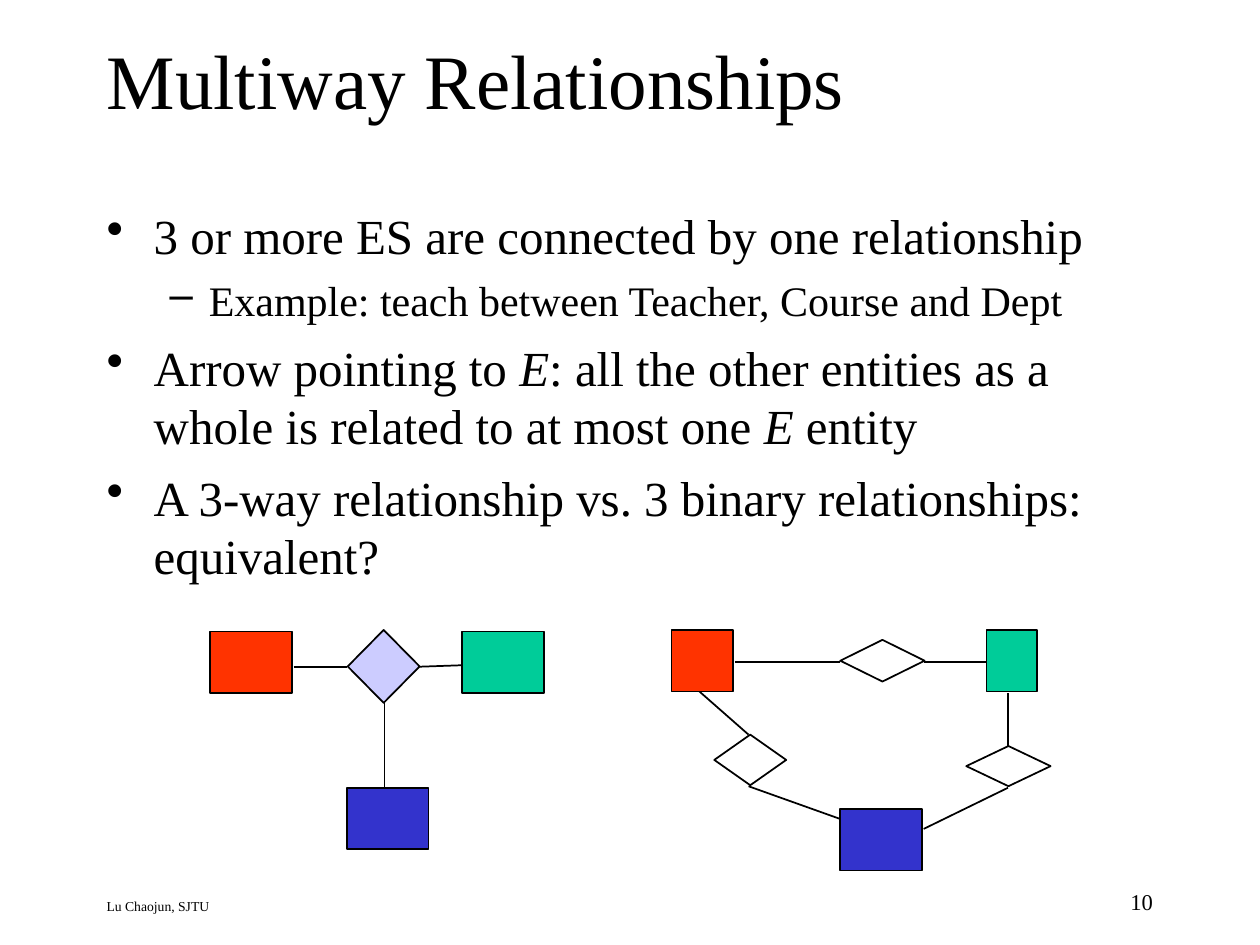
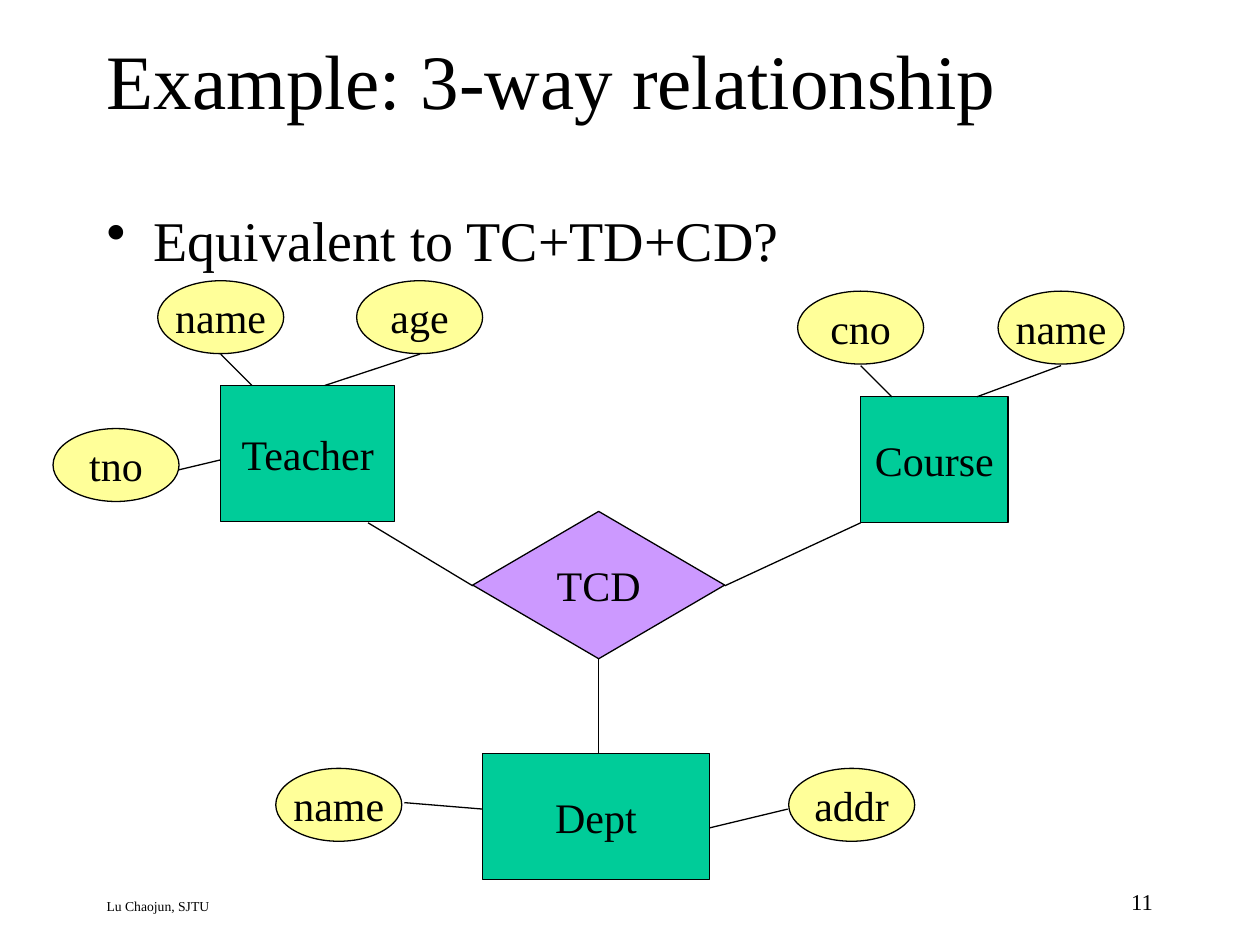
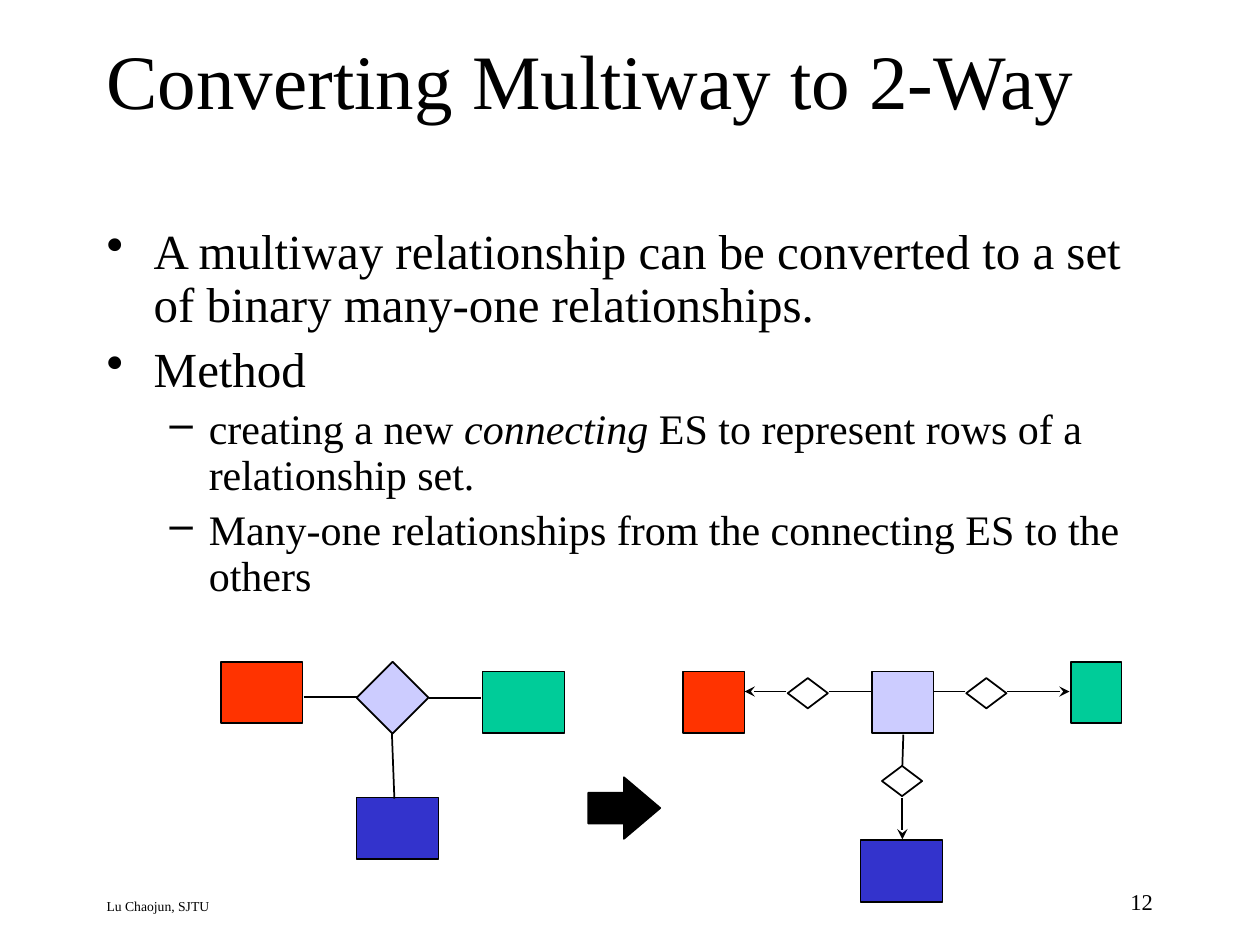
from typing import NamedTuple

from lxml import etree
from pptx import Presentation
from pptx import util as u
from pptx.dml.color import RGBColor
from pptx.enum import shapes, text
from pptx.oxml import ns

FONT = "Times New Roman"
BLACK, WHITE = "000000", "FFFFFF"
RED, BLUE, GREEN = "FF3300", "3333CC", "00CC99"
LAVENDER, PURPLE, YELLOW = "CCCCFF", "CC99FF", "FFFF99"

RECTANGLE = shapes.MSO_SHAPE.RECTANGLE
DIAMOND = shapes.MSO_SHAPE.DIAMOND
OVAL = shapes.MSO_SHAPE.OVAL
RIGHT_ARROW = shapes.MSO_SHAPE.RIGHT_ARROW
LEFT, RIGHT, CENTER = text.PP_ALIGN.LEFT, text.PP_ALIGN.RIGHT, text.PP_ALIGN.CENTER


class Box(NamedTuple):
    """Lengths in centimetres."""
    left: float
    top: float
    width: float
    height: float

    def lengths(self) -> list[u.Length]:
        return [u.Cm(value) for value in self]


class Node(NamedTuple):
    preset: shapes.MSO_SHAPE
    fill: str
    box: Box
    label: str = ""


class Link(NamedTuple):
    """A line between two points in centimetres, with an optional arrow at the end."""
    start: tuple[float, float]
    end: tuple[float, float]
    arrow: bool = False


class Level(NamedTuple):
    bullet: str
    margin: float
    hanging: float


class Bullet(NamedTuple):
    """Words between asterisks are italic."""
    words: str
    size: float = 28
    level: int = 0


class Page(NamedTuple):
    title: str
    number: int
    body: Box
    bullets: list[Bullet]
    nodes: list[Node]
    links: list[Link]
    line_width: float = 1
    line_spacing: float = 1


LEVELS = [Level("•", 0.95, 0.95), Level("–", 2.06, 0.79)]
TITLE_BOX = Box(1.9, 0, 21.59, 3.18)
FOOTER_BOX = Box(1.9, 17.98, 14.73, 0.64)
NUMBER_BOX = Box(18.21, 17.78, 5.28, 0.84)


def wide(fill: str, left: float, top: float) -> Node:
    return Node(RECTANGLE, fill, Box(left, top, 1.65, 1.24))


def square(fill: str, left: float, top: float) -> Node:
    return Node(RECTANGLE, fill, Box(left, top, 1.24, 1.24))


def narrow(fill: str, left: float, top: float) -> Node:
    return Node(RECTANGLE, fill, Box(left, top, 1.02, 1.24))


def diamond(left: float, top: float, width: float = 0.81, height: float = 0.61,
            fill: str = WHITE) -> Node:
    return Node(DIAMOND, fill, Box(left, top, width, height))


def entity(label: str, box: Box) -> Node:
    return Node(RECTANGLE, GREEN, box, label)


def attribute(label: str, left: float, top: float) -> Node:
    return Node(OVAL, YELLOW, Box(left, top, 2.54, 1.47), label)


PAGES = [
    Page(
        "Multiway Relationships", 10, Box(1.9, 4.01, 21.59, 8.26),
        [
            Bullet("3 or more ES are connected by one relationship"),
            Bullet("Example: teach between Teacher, Course and Dept", 24, 1),
            Bullet("Arrow pointing to *E*: all the other entities as a whole "
                   "is related to at most one *E* entity"),
            Bullet("A 3-way relationship vs. 3 binary relationships: equivalent?"),
        ],
        [
            wide(RED, 4.24, 12.73),
            wide(BLUE, 6.99, 15.88),
            wide(GREEN, 9.32, 12.73),
            diamond(7.01, 12.7, 1.45, 1.47, LAVENDER),
            square(RED, 13.54, 12.7),
            wide(BLUE, 16.94, 16.31),
            narrow(GREEN, 19.89, 12.7),
            diamond(14.4, 14.81, 1.45, 1.02),
            diamond(16.94, 12.9, 1.7, 0.84),
            diamond(19.48, 15.04, 1.7, 0.81),
        ],
        [
            Link((5.92, 13.44), (6.99, 13.44)),
            Link((8.46, 13.44), (9.32, 13.41)),
            Link((7.75, 14.17), (7.75, 15.88)),
            Link((14.1, 13.94), (15.09, 14.81)),
            Link((15.09, 15.85), (16.94, 16.51)),
            Link((16.94, 13.34), (14.81, 13.34)),
            Link((18.62, 13.34), (19.89, 13.34)),
            Link((20.32, 13.97), (20.32, 15.04)),
            Link((20.32, 15.88), (18.62, 16.71)),
        ],
    ),
    Page(
        "Example: 3-way relationship", 11, Box(1.9, 4.01, 21.59, 12.9),
        [Bullet("Equivalent to TC+TD+CD?", 32)],
        [
            entity("Teacher", Box(4.45, 7.77, 3.51, 2.74)),
            entity("Course", Box(17.35, 8, 2.97, 2.54)),
            entity("Dept", Box(9.73, 15.19, 4.57, 2.54)),
            attribute("name", 3.18, 5.66),
            attribute("age", 7.19, 5.66),
            attribute("tno", 1.07, 8.64),
            attribute("cno", 16.08, 5.87),
            attribute("name", 20.12, 5.87),
            attribute("name", 5.56, 15.49),
            attribute("addr", 15.9, 15.49),
            Node(DIAMOND, PURPLE, Box(9.53, 10.31, 5.08, 2.97), "TCD"),
        ],
        [
            Link((3.61, 9.47), (4.45, 9.27)),
            Link((4.45, 7.14), (5.08, 7.77)),
            Link((8.46, 7.14), (6.55, 7.77)),
            Link((8.15, 16.18), (9.73, 16.31)),
            Link((15.88, 16.31), (14.3, 16.69)),
            Link((17.35, 7.37), (17.98, 8)),
            Link((21.39, 7.37), (19.69, 8)),
            Link((9.53, 11.81), (7.42, 10.54)),
            Link((12.07, 13.28), (12.07, 15.19)),
            Link((14.61, 11.81), (17.35, 10.54)),
        ],
        line_width=0.75,
    ),
    Page(
        "Converting Multiway to 2-Way", 12, Box(1.9, 4.45, 21.59, 8.46),
        [
            Bullet("A multiway relationship can be converted to a set of binary "
                   "many-one relationships."),
            Bullet("Method"),
            Bullet("creating a new *connecting* ES to represent rows of a "
                   "relationship set.", 24, 1),
            Bullet("Many-one relationships from the connecting ES to the others", 24, 1),
        ],
        [
            wide(RED, 4.45, 13.34),
            wide(BLUE, 7.19, 16.08),
            wide(GREEN, 9.73, 13.54),
            diamond(7.19, 13.34, 1.45, 1.45, LAVENDER),
            square(RED, 13.77, 13.54),
            square(LAVENDER, 17.58, 13.54),
            narrow(GREEN, 21.59, 13.34),
            wide(BLUE, 17.35, 16.94),
            diamond(15.88, 13.67),
            diamond(19.48, 13.67),
            diamond(17.78, 15.44),
            Node(RIGHT_ARROW, BLACK, Box(11.86, 15.67, 1.45, 1.24)),
        ],
        [
            Link((6.12, 14.05), (7.19, 14.05)),
            Link((8.64, 14.07), (9.7, 14.07)),
            Link((7.9, 14.78), (7.95, 16.1)),
            Link((15.85, 13.94), (15.01, 13.94), arrow=True),
            Link((16.71, 13.94), (17.55, 13.94)),
            Link((19.46, 13.94), (18.82, 13.94)),
            Link((20.29, 13.94), (21.56, 13.94), arrow=True),
            Link((18.21, 14.81), (18.19, 15.44)),
            Link((18.19, 16.08), (18.19, 16.92), arrow=True),
        ],
        line_spacing=0.9,
    ),
]


def colour(value: str) -> RGBColor:
    return RGBColor.from_string(value)


def format_runs(paragraph, size: float) -> None:
    for run in paragraph.runs:
        run.font.name = FONT
        run.font.size = u.Pt(size)
        run.font.color.rgb = colour(BLACK)


def add_text(slide, box: Box, words: str, size: float, align=LEFT,
             anchor=text.MSO_ANCHOR.TOP) -> None:
    frame = slide.shapes.add_textbox(*box.lengths()).text_frame
    frame.word_wrap = True
    frame.vertical_anchor = anchor
    frame.text = words
    frame.paragraphs[0].alignment = align
    format_runs(frame.paragraphs[0], size)


def set_bullet(paragraph, level: Level) -> None:
    properties = paragraph._p.get_or_add_pPr()
    properties.set("marL", str(u.Cm(level.margin)))
    properties.set("indent", str(-u.Cm(level.hanging)))
    etree.SubElement(properties, ns.qn("a:buChar"), char=level.bullet)


def add_bullets(slide, page: Page) -> None:
    frame = slide.shapes.add_textbox(*page.body.lengths()).text_frame
    frame.word_wrap = True
    for index, bullet in enumerate(page.bullets):
        paragraph = frame.add_paragraph() if index else frame.paragraphs[0]
        set_bullet(paragraph, LEVELS[bullet.level])
        paragraph.level = bullet.level
        paragraph.line_spacing = page.line_spacing
        paragraph.space_before = u.Pt(bullet.size / 4 if index else 0)
        for position, piece in enumerate(bullet.words.split("*")):
            run = paragraph.add_run()
            run.text = piece
            run.font.italic = position % 2 == 1
        format_runs(paragraph, bullet.size)


def add_node(slide, node: Node, line_width: float) -> None:
    shape = slide.shapes.add_shape(node.preset, *node.box.lengths())
    shape.shadow.inherit = False
    shape.fill.solid()
    shape.fill.fore_color.rgb = colour(node.fill)
    shape.line.color.rgb = colour(BLACK)
    shape.line.width = u.Pt(line_width)
    if node.preset == RIGHT_ARROW:
        shape.adjustments[1] = 0.59
    if node.label:
        frame = shape.text_frame
        frame.word_wrap = False
        frame.vertical_anchor = text.MSO_ANCHOR.MIDDLE
        frame.text = node.label
        frame.paragraphs[0].alignment = CENTER
        format_runs(frame.paragraphs[0], 24)


def add_link(slide, link: Link, line_width: float) -> None:
    points = [u.Cm(value) for value in (*link.start, *link.end)]
    connector = slide.shapes.add_connector(shapes.MSO_CONNECTOR.STRAIGHT, *points)
    connector.line.color.rgb = colour(BLACK)
    connector.line.width = u.Pt(line_width)
    if link.arrow:
        line = connector.line._get_or_add_ln()
        etree.SubElement(line, ns.qn("a:tailEnd"), type="stealth")
    etree.SubElement(connector._element.spPr, ns.qn("a:effectLst"))


def add_page(presentation, page: Page) -> None:
    slide = presentation.slides.add_slide(presentation.slide_layouts[6])
    add_text(slide, TITLE_BOX, page.title, 44, anchor=text.MSO_ANCHOR.MIDDLE)
    add_bullets(slide, page)
    add_text(slide, FOOTER_BOX, "Lu Chaojun, SJTU", 7.8)
    add_text(slide, NUMBER_BOX, str(page.number), 12.9, RIGHT)
    for node in page.nodes:
        add_node(slide, node, page.line_width)
    for link in page.links:
        add_link(slide, link, page.line_width)


def main() -> None:
    presentation = Presentation()
    presentation.slide_width = u.Cm(25.4)
    presentation.slide_height = u.Cm(19.05)
    for page in PAGES:
        add_page(presentation, page)
    presentation.save("out.pptx")


if __name__ == "__main__":
    main()
